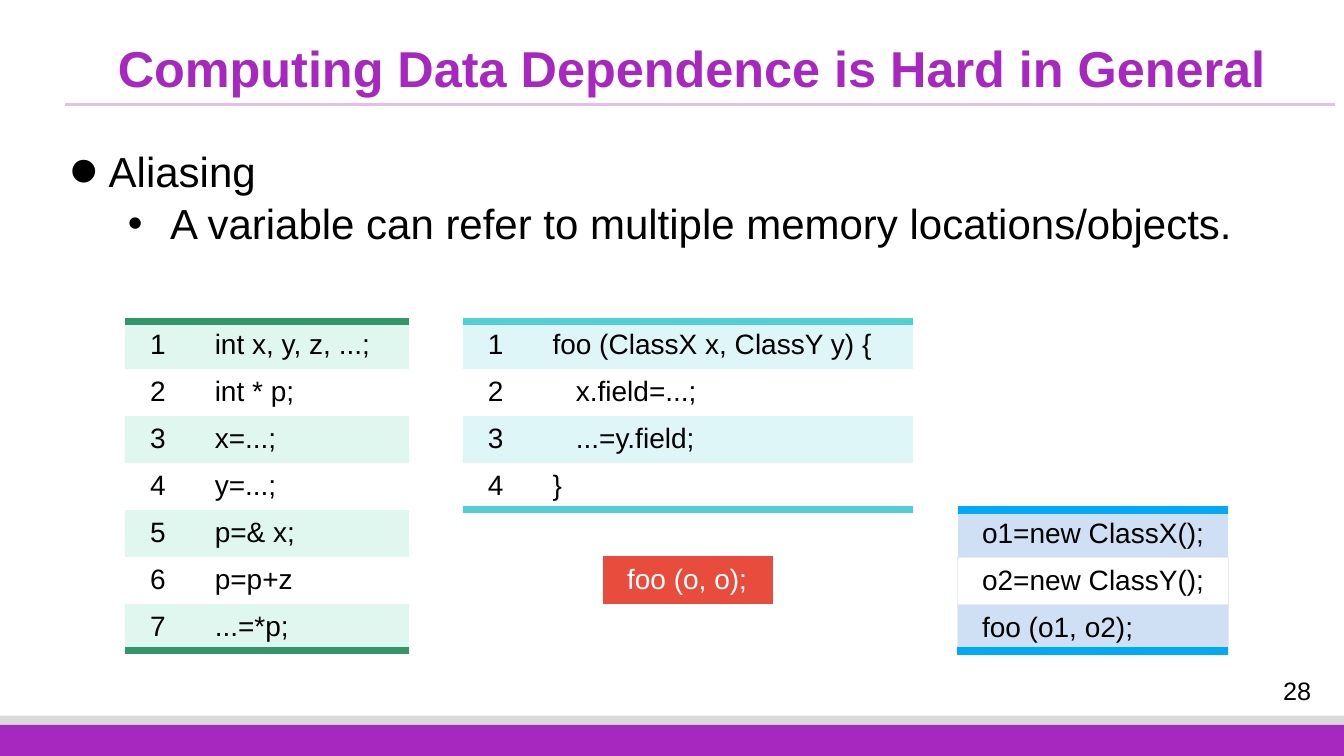
from dataclasses import dataclass

from lxml.etree import SubElement
from pptx import Presentation
from pptx.dml.color import RGBColor
from pptx.enum.shapes import MSO_CONNECTOR, MSO_SHAPE
from pptx.enum.text import MSO_ANCHOR, PP_ALIGN
from pptx.oxml import parse_xml
from pptx.oxml.ns import nsdecls, qn
from pptx.slide import Slide
from pptx.table import _Cell
from pptx.text.text import TextFrame, _Paragraph
from pptx.util import Inches, Pt

COLORS = {
    "purple": "A728BE", "lilac": "E5BFEB", "gray": "D9D9D9", "edge": "EAEAEA",
    "black": "000000", "white": "FFFFFF", "red": "E74C3C",
    "green": "339669", "mint": "E0F7EF",
    "teal": "53CED5", "aqua": "DEF6F7",
    "blue": "03A9F5", "sky": "D0E0F4",
}
ROW_HEIGHT = 1.4 / 3
NUMBER_WIDTH = 0.65
CODE_MARGIN = 0.24
NO_TABLE_STYLE = "{2D5ABB26-0587-4C30-8999-92F81FD0307C}"


@dataclass
class CodeTable:
    left: float
    top: float
    width: float
    lines: list[str]
    band: str
    rule: str
    rule_width: float = 6
    numbered: bool = False
    text_color: str = "black"
    edge: str | None = None


CODE_TABLES = [
    CodeTable(1.24, 3.19, 2.82,
              ["int x, y, z, ...;", "int * p;", "x=...;", "y=...;", "p=& x;", "p=p+z", "...=*p;"],
              "mint", "green", numbered=True),
    CodeTable(4.59, 3.19, 4.47,
              ["foo (ClassX x, ClassY y) {", "   x.field=...;", "   ...=y.field;", "}"],
              "aqua", "teal", numbered=True),
    CodeTable(5.98, 5.52, 1.69, ["foo (o, o);"], "red", "red", 1.5, text_color="white"),
    CodeTable(9.5, 5.06, 2.68, ["o1=new ClassX();", "o2=new ClassY();", "foo (o1, o2);"],
              "sky", "blue", edge="edge"),
]


def rgb(name: str) -> RGBColor:
    return RGBColor.from_string(COLORS[name])


def style_paragraph(paragraph: _Paragraph, size: float, color: str = "black",
                    bold: bool = False) -> None:
    paragraph.font.name = "Arial"
    paragraph.font.size = Pt(size)
    paragraph.font.color.rgb = rgb(color)
    paragraph.font.bold = bold


def add_text_frame(slide: Slide, left: float, top: float, width: float, height: float) -> TextFrame:
    box = slide.shapes.add_textbox(Inches(left), Inches(top), Inches(width), Inches(height))
    box.text_frame.word_wrap = True
    return box.text_frame


def add_bar(slide: Slide, top: float, height: float, color: str) -> None:
    bar = slide.shapes.add_shape(MSO_SHAPE.RECTANGLE, 0, Inches(top), Inches(13.33), Inches(height))
    bar.shadow.inherit = False
    bar.fill.solid()
    bar.fill.fore_color.rgb = rgb(color)
    bar.line.fill.background()


def add_title_rule(slide: Slide) -> None:
    rule = slide.shapes.add_connector(MSO_CONNECTOR.STRAIGHT, Inches(0.64), Inches(1.04),
                                      Inches(13.24), Inches(1.04))
    rule.line.color.rgb = rgb("lilac")
    rule.line.width = Pt(2.25)
    SubElement(rule._element.spPr, qn("a:effectLst"))


def add_title(slide: Slide, text: str) -> None:
    frame = add_text_frame(slide, 1.07, 0.35, 12.24, 0.48)
    frame.margin_top = Inches(0.09)
    paragraph = frame.paragraphs[0]
    paragraph.text = text
    paragraph.line_spacing = 0.9
    style_paragraph(paragraph, 36, "purple", bold=True)


def set_bullet(paragraph: _Paragraph, margin: float, hanging: float, percent: int) -> None:
    properties = paragraph._p.get_or_add_pPr()
    properties.set("marL", str(Inches(margin)))
    properties.set("indent", str(-Inches(hanging)))
    SubElement(properties, qn("a:buSzPct"), val=str(percent * 1000))
    SubElement(properties, qn("a:buFont"), typeface="Arial")
    SubElement(properties, qn("a:buChar"), char="•")


def add_bullets(slide: Slide) -> None:
    frame = add_text_frame(slide, 0.59, 1.36, 12.5, 1.35)
    frame.margin_top = Inches(0.08)
    topic, detail = frame.paragraphs[0], frame.add_paragraph()
    topic.text = "Aliasing"
    detail.text = "A variable can refer to multiple memory locations/objects."
    detail.level = 1
    detail.space_before = Pt(1.5)
    set_bullet(topic, 0.39, 0.39, 200)
    set_bullet(detail, 1, 0.42, 100)
    for paragraph in frame.paragraphs:
        style_paragraph(paragraph, 30)


def set_borders(cell: _Cell, borders: dict[str, tuple[str, float]]) -> None:
    """Draw borders keyed by side (L, R, T, B), placed ahead of the cell fill."""
    properties = cell._tc.get_or_add_tcPr()
    sides = [side for side in "LRTB" if side in borders]
    for position, side in enumerate(sides):
        color, width = borders[side]
        properties.insert(position, parse_xml(
            f'<a:ln{side} {nsdecls("a")} w="{Pt(width)}"><a:solidFill>'
            f'<a:srgbClr val="{COLORS[color]}"/></a:solidFill></a:ln{side}>'))


def add_code_table(slide: Slide, code: CodeTable) -> None:
    row_count = len(code.lines)
    widths = [NUMBER_WIDTH, code.width - NUMBER_WIDTH] if code.numbered else [code.width]
    table = slide.shapes.add_table(row_count, len(widths), Inches(code.left), Inches(code.top),
                                   Inches(code.width), Inches(ROW_HEIGHT * row_count)).table
    table.first_row = table.horz_banding = False
    table._tbl.tblPr.find(qn("a:tableStyleId")).text = NO_TABLE_STYLE
    for column, width in zip(table.columns, widths):
        column.width = Inches(width)

    for index, line in enumerate(code.lines):
        table.rows[index].height = Inches(ROW_HEIGHT)
        borders = {}
        if code.edge and index > 0:
            borders = {side: (code.edge, 0.75) for side in "LRTB"}
        if index == 0:
            borders["T"] = (code.rule, code.rule_width)
        if index == row_count - 1:
            borders["B"] = (code.rule, code.rule_width)

        texts = [str(index + 1), line] if code.numbered else [line]
        for column, text in enumerate(texts):
            cell = table.cell(index, column)
            cell.vertical_anchor = MSO_ANCHOR.MIDDLE
            cell.fill.solid()
            cell.fill.fore_color.rgb = rgb("white" if index % 2 else code.band)
            set_borders(cell, borders)
            paragraph = cell.text_frame.paragraphs[0]
            paragraph.text = text
            style_paragraph(paragraph, 20, code.text_color)
            if column == len(texts) - 1:
                cell.margin_left = Inches(CODE_MARGIN)
                cell.margin_right = 0
            else:
                paragraph.alignment = PP_ALIGN.CENTER


def add_page_number(slide: Slide, number: str) -> None:
    frame = add_text_frame(slide, 12.41, 6.65, 0.91, 0.39)
    frame.vertical_anchor = MSO_ANCHOR.MIDDLE
    paragraph = frame.paragraphs[0]
    paragraph.text = number
    paragraph.alignment = PP_ALIGN.CENTER
    style_paragraph(paragraph, 18)


def main() -> None:
    presentation = Presentation()
    presentation.slide_width = Inches(13.33)
    presentation.slide_height = Inches(7.5)
    slide = presentation.slides.add_slide(presentation.slide_layouts[6])
    add_bar(slide, 7.1, 0.4, "gray")
    add_bar(slide, 7.19, 0.31, "purple")
    add_title_rule(slide)
    add_page_number(slide, "28")
    add_title(slide, "Computing Data Dependence is Hard in General")
    add_bullets(slide)
    for code in CODE_TABLES:
        add_code_table(slide, code)
    presentation.save("out.pptx")


if __name__ == "__main__":
    main()
